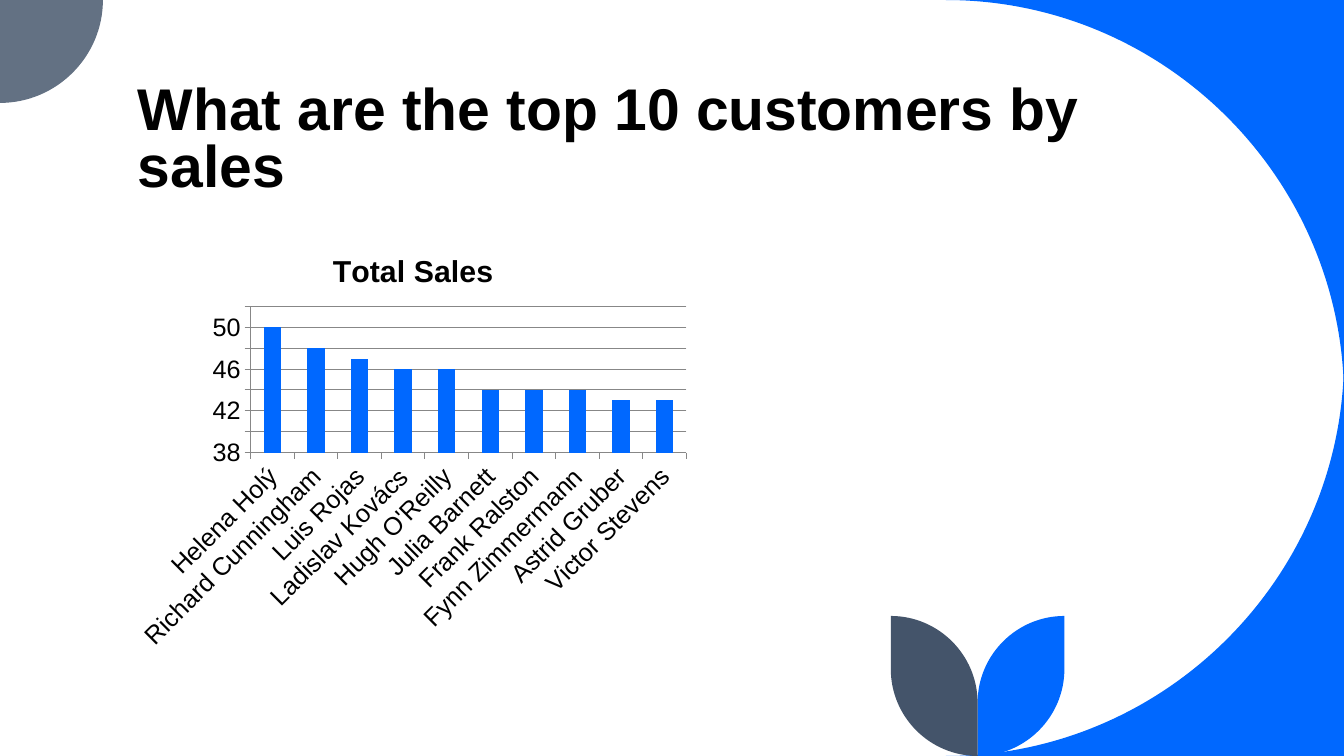
from lxml.etree import SubElement
from pptx import Presentation
from pptx.chart.data import CategoryChartData
from pptx.dml.color import RGBColor
from pptx.enum.chart import XL_CHART_TYPE, XL_TICK_MARK
from pptx.enum.text import MSO_ANCHOR
from pptx.oxml.ns import qn
from pptx.util import Pt

BLUE, SLATE, GREY = "0068FF", "44546A", "637183"
BLACK, LINE = "000000", "878787"
WIDTH, HEIGHT = 960, 540
ROUND = 0.55


def rgb(color):
    return RGBColor.from_string(color)


def add_outline(color, start, *steps):
    points, curves = [start], []
    for bend, end in steps:
        if bend:
            curves.append(len(points))
            for x, y in (points[-1], end):
                points.append((x + ROUND * (bend[0] - x), y + ROUND * (bend[1] - y)))
        points.append(end)
    builder = s.shapes.build_freeform(
        *(v * 100 for v in start), scale=Pt(1) / 100
    )
    builder.add_line_segments([(x * 100, y * 100) for x, y in points[1:]])
    sp = builder.convert_to_shape()
    nodes = list(sp._element.iter(qn("a:path")))[0]
    segments = list(nodes)
    for i in curves:
        control, *rest = segments[i:i + 3]
        control.tag = qn("a:cubicBezTo")
        for segment in rest:
            control.append(segment[0])
            nodes.remove(segment)
    sp.shadow.inherit = False
    sp.fill.solid()
    sp.fill.fore_color.rgb = rgb(color)
    sp.line.fill.background()


prs = Presentation()
prs.slide_width, prs.slide_height = Pt(WIDTH), Pt(HEIGHT)
s = prs.slides.add_slide(prs.slide_layouts[6])

sweep, corner = 284.4, 73.5
left, lower = WIDTH - sweep, HEIGHT - sweep
add_outline(BLUE, (WIDTH, 0), (None, (left, 0)), ((WIDTH, 0), (WIDTH, sweep)))
add_outline(
    BLUE, (WIDTH, lower),
    ((WIDTH, HEIGHT), (left, HEIGHT)), (None, (WIDTH, HEIGHT)),
)
add_outline(GREY, (0, 0), (None, (corner, 0)), ((corner, corner), (0, corner)))

stem, leaf_top, leaf = 698.3, 440, 62
for side, color in ((1, BLUE), (-1, SLATE)):
    tip = stem + side * leaf
    add_outline(
        color, (tip, leaf_top),
        (None, (tip, HEIGHT - leaf)),
        ((tip, HEIGHT), (stem, HEIGHT)),
        (None, (stem, leaf_top + leaf)),
        ((stem, leaf_top), (tip, leaf_top)),
    )

title = s.shapes.add_textbox(Pt(91.4), Pt(7.9), Pt(769.7), Pt(137.5))
tf = title.text_frame
tf.word_wrap = True
tf.vertical_anchor = MSO_ANCHOR.BOTTOM
tf.text = "What are the top 10 customers by sales"
p = tf.paragraphs[0]
p.line_spacing = 0.8
r = p.runs[0]
r.font.name, r.font.size, r.font.bold = "Arial", Pt(42), True
r.font.color.rgb = rgb(BLACK)

sales = {
    "Helena Holý": 50,
    "Richard Cunningham": 48,
    "Luis Rojas": 47,
    "Ladislav Kovács": 46,
    "Hugh O'Reilly": 46,
    "Julia Barnett": 44,
    "Frank Ralston": 44,
    "Fynn Zimmermann": 44,
    "Astrid Gruber": 43,
    "Victor Stevens": 43,
}
data = CategoryChartData()
data.categories = list(sales)
data.add_series("Total Sales", list(sales.values()))
chart = s.shapes.add_chart(
    XL_CHART_TYPE.COLUMN_CLUSTERED,
    Pt(91.4), Pt(165.6), Pt(407.5), Pt(304.6), data,
).chart
chart.font.name, chart.font.size = "Arial", Pt(18)
chart.font.color.rgb = rgb(BLACK)
chart.has_legend = False
chart.has_title = True
tf = chart.chart_title.text_frame
tf.text = "Total Sales"
r = tf.paragraphs[0].runs[0]
r.font.name, r.font.size, r.font.bold = "Arial", Pt(21.6), True
r.font.color.rgb = rgb(BLACK)

plot = chart.plots[0]
plot.gap_width = 150
plot.vary_by_categories = False
fill = plot.series[0].format.fill
fill.solid()
fill.fore_color.rgb = rgb(BLUE)

values = chart.value_axis
values.minimum_scale, values.maximum_scale, values.major_unit = 38, 52, 2
values.has_major_gridlines = True
values.major_gridlines.format.line.color.rgb = rgb(LINE)
for axis in (chart.category_axis, values):
    axis.major_tick_mark = XL_TICK_MARK.OUTSIDE
    axis.minor_tick_mark = XL_TICK_MARK.NONE
    axis.format.line.color.rgb = rgb(LINE)
    axis.tick_labels.font.size = Pt(18)
names = chart.category_axis
names._element.find(qn("c:txPr")).find(qn("a:bodyPr")).set("rot", "-2700000")

area = chart._chartSpace.chart.plotArea
for old in area.findall(qn("c:layout")):
    area.remove(old)
layout = SubElement(area, qn("c:layout"))
area.insert(0, layout)
manual = SubElement(layout, qn("c:manualLayout"))
for tag, val in (
    ("layoutTarget", "inner"), ("xMode", "edge"), ("yMode", "edge"),
    ("x", 0.215), ("y", 0.175), ("w", 0.764), ("h", 0.343),
):
    SubElement(manual, qn(f"c:{tag}")).set("val", str(val))

prs.save("out.pptx")
